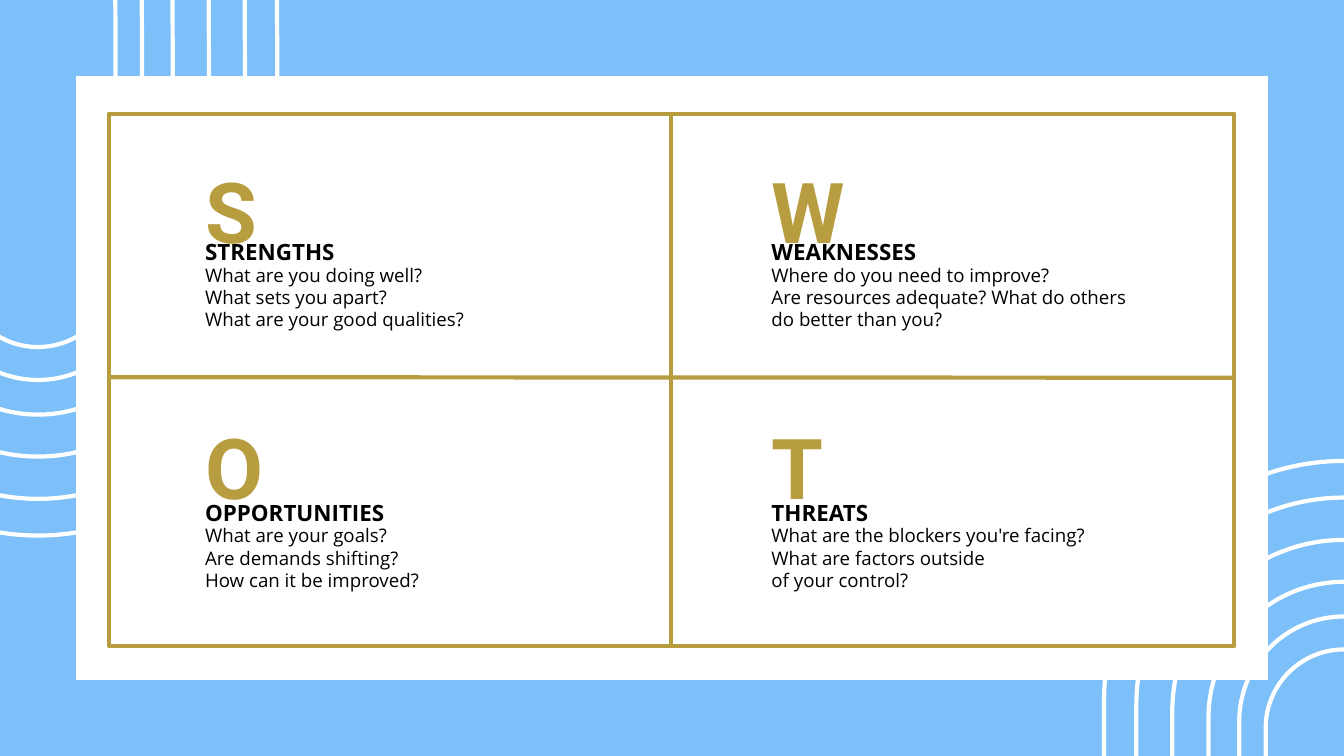
import pptx
import pptx.dml.color
import pptx.enum.shapes
import pptx.enum.text
import pptx.oxml
import pptx.oxml.ns
import pptx.util
from pptx.util import Cm

COLORS = {"sky": "7DBFF8", "white": "FFFFFF", "gold": "B89D40", "black": "000000"}
CURVE = 0.55
ARCHES = [(18.14, 29.49), (15.7, 26.72), (12.98, 23.52),
          (10.24, 20.35), (7.92, 17.73), (5.92, 15.24)]
COLUMNS = [7.75, 29.16]
ROWS = [(4.14, 8.48, 9.96), (13.82, 18.36, 19.81)]
QUADRANTS = [
    ("S", "STRENGTHS", 6.3, 11.73,
     ["What are you doing well?", "What sets you apart?", "What are your good qualities?"]),
    ("W", "WEAKNESSES", 8.89, 14.99,
     ["Where do you need to improve?", "Are resources adequate? What do others",
      "do better than you?"]),
    ("O", "OPPORTUNITIES", 8.86, 9.45,
     ["What are your goals?", "Are demands shifting?", "How can it be improved?"]),
    ("T", "THREATS", 4.67, 13.46,
     ["What are the blockers you're facing?", "What are factors outside", "of your control?"]),
]


class SlideStyle:
    line_width = pptx.util.Pt(4.5)
    heading_font = "Open Sans"
    letter_font = "Roboto"

    def __init__(self, slide):
        self.slide = slide

    def color(self, name):
        return pptx.dml.color.RGBColor.from_string(COLORS[name])

    def background(self, name):
        fill = self.slide.background.fill
        fill.solid()
        fill.fore_color.rgb = self.color(name)

    def outline(self, shape, name):
        shape.line.color.rgb = self.color(name)
        shape.line.width = self.line_width

    def freeform(self, points, fill=None, line=None):
        start, *others = [(Cm(x), Cm(y)) for x, y in points]
        builder = self.slide.shapes.build_freeform(*start)
        builder.add_line_segments(others, close=True)
        shape = builder.convert_to_shape()
        shape.shadow.inherit = False
        if fill:
            shape.fill.solid()
            shape.fill.fore_color.rgb = self.color(fill)
        else:
            shape.fill.background()
        if line:
            self.outline(shape, line)
        else:
            shape.line.fill.background()
        return shape

    def arch(self, center_x, center_y, diameter, height, rotation):
        radius = diameter / 2
        handle = radius * CURVE
        left, right = center_x - radius, center_x + radius
        top, bottom = center_y - height / 2, center_y + height / 2
        bend = bottom - radius
        shape = self.freeform([
            (right, top), (right, bend),
            (right, bend + handle), (center_x + handle, bottom), (center_x, bottom),
            (center_x - handle, bottom), (left, bend + handle), (left, bend),
            (left, top)], line="white")
        shape.rotation = rotation
        segments = list(shape._element.iter(pptx.oxml.ns.qn("a:lnTo")))
        for first in (1, 4):
            curve = pptx.oxml.parse_xml(
                '<a:cubicBezTo xmlns:a="http://schemas.openxmlformats.org/drawingml/2006/main"/>')
            segments[first].addprevious(curve)
            for segment in segments[first:first + 3]:
                curve.append(segment[0])
                segment.getparent().remove(segment)

    def rectangle(self, left, top, right, bottom, fill=None, line=None):
        self.freeform([(left, top), (right, top), (right, bottom), (left, bottom)], fill, line)

    def line(self, start_x, start_y, end_x, end_y, name):
        connector = self.slide.shapes.add_connector(
            pptx.enum.shapes.MSO_CONNECTOR.STRAIGHT,
            Cm(start_x), Cm(start_y), Cm(end_x), Cm(end_y))
        self.outline(connector, name)
        connector._element.spPr.append(pptx.oxml.parse_xml(
            '<a:effectLst xmlns:a="http://schemas.openxmlformats.org/drawingml/2006/main"/>'))

    def text(self, left, top, width, height, lines, size, font, name="black",
             bold=False, spacing=None):
        box = self.slide.shapes.add_textbox(Cm(left), Cm(top), Cm(width), Cm(height))
        frame = box.text_frame
        frame.word_wrap = True
        frame.auto_size = pptx.enum.text.MSO_AUTO_SIZE.SHAPE_TO_FIT_TEXT
        frame.margin_left = frame.margin_top = frame.margin_right = frame.margin_bottom = 0
        for index, line in enumerate(lines):
            paragraph = frame.add_paragraph() if index else frame.paragraphs[0]
            if spacing:
                paragraph.line_spacing = spacing
            run = paragraph.add_run()
            run.text = line
            run.font.name = font
            run.font.size = pptx.util.Pt(size)
            run.font.bold = bold
            run.font.color.rgb = self.color(name)

    def quadrant(self, left, tops, letter, heading, heading_width, body_width, questions):
        letter_top, heading_top, body_top = tops
        self.text(left, heading_top, heading_width, 1.52, [heading], 24,
                  self.heading_font, bold=True, spacing=1.5)
        self.text(left, body_top, body_width, 2.54, questions, 20, self.heading_font)
        self.text(left, letter_top, 1.83, 5.72, [letter], 90,
                  self.letter_font, "gold", bold=True, spacing=1.5)


def main():
    presentation = pptx.Presentation()
    presentation.slide_width = Cm(50.8)
    presentation.slide_height = Cm(28.58)
    slide = presentation.slides.add_slide(presentation.slide_layouts[6])
    style = SlideStyle(slide)

    style.background("sky")
    for center_x, center_y, rotation in [(1.42, 5.5, 359.8), (50.8, 32.17, 180)]:
        for diameter, height in ARCHES:
            style.arch(center_x, center_y, diameter, height, rotation)

    style.rectangle(2.86, 2.86, 47.93, 25.71, fill="white")
    style.rectangle(4.11, 4.3, 46.65, 24.41, line="gold")
    for index, quadrant in enumerate(QUADRANTS):
        row, column = divmod(index, 2)
        style.quadrant(COLUMNS[column], ROWS[row], *quadrant)
    style.line(25.37, 4.22, 25.37, 24.33, "gold")
    style.line(4.11, 14.26, 46.65, 14.28, "gold")

    presentation.save("out.pptx")


if __name__ == "__main__":
    main()
